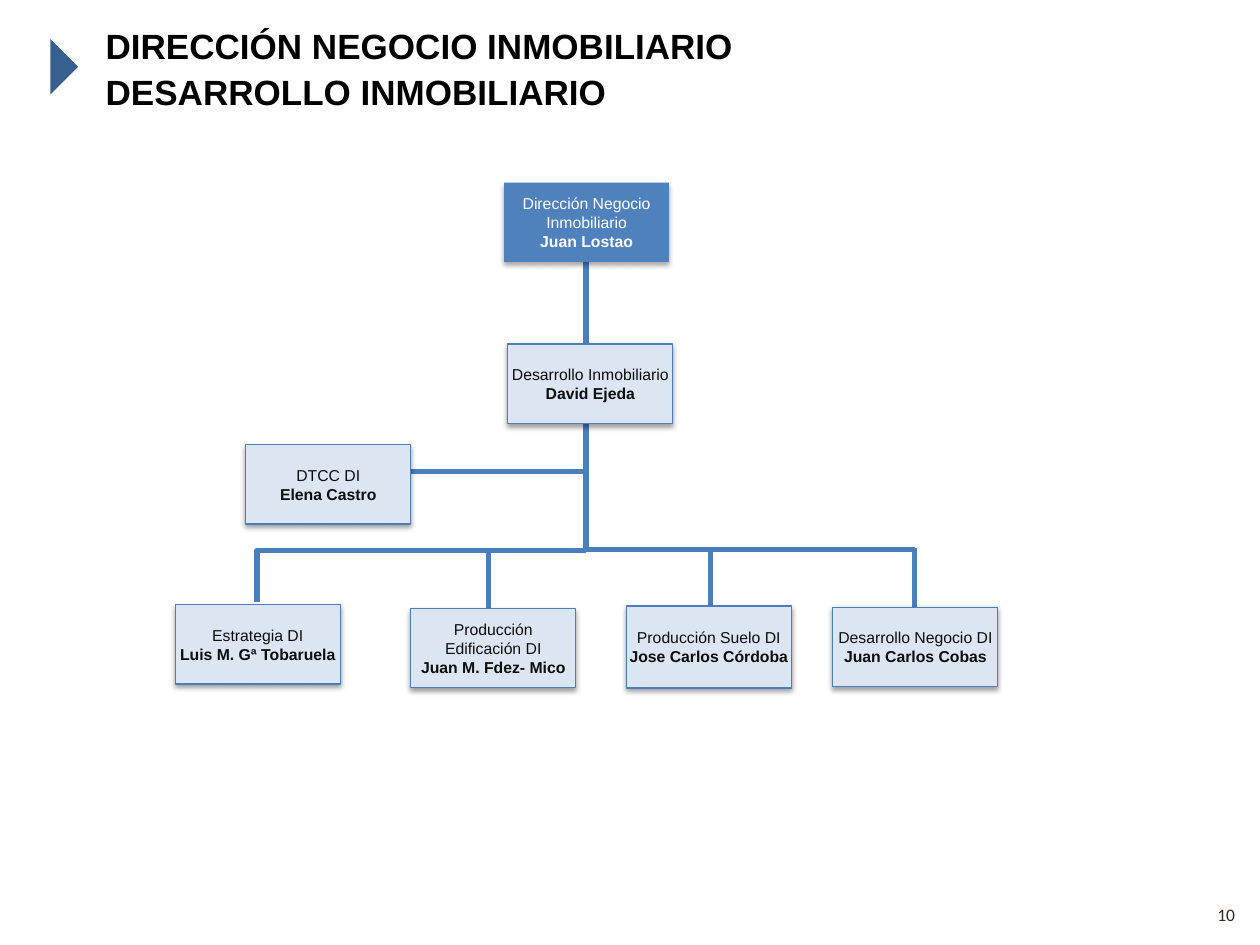
import pptx
import pptx.util
import pptx.dml.color
import pptx.enum.shapes
import pptx.enum.text
import pptx.oxml
import pptx.oxml.ns

RGBColor = pptx.dml.color.RGBColor
BLACK = RGBColor(0x00, 0x00, 0x00)
WHITE = RGBColor(0xFF, 0xFF, 0xFF)
INK = RGBColor(0x0D, 0x0D, 0x0D)
BROWN = RGBColor(0x35, 0x26, 0x1A)
NAVY = RGBColor(0x37, 0x60, 0x91)
BLUE = RGBColor(0x4F, 0x81, 0xBD)
LINE_BLUE = RGBColor(0x4B, 0x7E, 0xBC)
PALE_BLUE = RGBColor(0xDC, 0xE6, 0xF2)

Shape = pptx.enum.shapes.MSO_SHAPE
Connector = pptx.enum.shapes.MSO_CONNECTOR
Align = pptx.enum.text.PP_ALIGN

deck = pptx.Presentation()
deck.slide_width = pptx.util.Inches(10)
deck.slide_height = pptx.util.Inches(7.5)
COLUMN = deck.slide_width / 100
ROW = deck.slide_height / 75
slide = deck.slides.add_slide(deck.slide_layouts[6])


def write_text(box, text, size=9, font="Arial", color=INK, bold_from=0,
               align=Align.CENTER, spacing=None, inset=0.1):
    frame = box.text_frame
    frame.word_wrap = True
    frame.vertical_anchor = pptx.enum.text.MSO_ANCHOR.MIDDLE
    frame.margin_left = frame.margin_right = pptx.util.Inches(inset)
    for index, line in enumerate(text.split("\n")):
        para = frame.add_paragraph() if index else frame.paragraphs[0]
        para.text = line
        para.alignment = align
        para.line_spacing = spacing
        for span in para.runs:
            span.font.size = pptx.util.Pt(size)
            span.font.name = font
            span.font.color.rgb = color
            span.font.bold = index >= bold_from


def draw_link(kind, left, top, right, bottom):
    link = slide.shapes.add_connector(
        kind, round(left * COLUMN), round(top * ROW), round(right * COLUMN), round(bottom * ROW))
    link.line.color.rgb = LINE_BLUE
    link.line.width = pptx.util.Pt(3)
    properties = link._element.spPr
    properties.append(pptx.oxml.parse_xml(
        f"<a:effectLst {pptx.oxml.ns.nsdecls('a')}/>"))
    if kind == Connector.ELBOW:
        geometry = properties.find(pptx.oxml.ns.qn("a:prstGeom"))
        guides = geometry.find(pptx.oxml.ns.qn("a:avLst"))
        guides.append(pptx.oxml.parse_xml(
            f"<a:gd {pptx.oxml.ns.nsdecls('a')} name='adj1' fmla='val 100000'/>"))


marker = slide.shapes.add_shape(
    Shape.ISOSCELES_TRIANGLE, round(2.9 * COLUMN), round(4.2 * ROW),
    round(4.4 * COLUMN), round(2.2 * ROW))
marker.rotation = 90
marker.shadow.inherit = False
marker.fill.solid()
marker.fill.fore_color.rgb = NAVY
marker.line.fill.background()

TRUNK = 46.5
BRANCH = 43.6
draw_link(Connector.ELBOW, 72.6, BRANCH, TRUNK, 16)
draw_link(Connector.ELBOW, TRUNK, BRANCH + 0.1, 20.4, 47.8)
draw_link(Connector.STRAIGHT, 32.4, 37.4, TRUNK, 37.4)
draw_link(Connector.STRAIGHT, TRUNK, 31.6, TRUNK, 37.7)
for center, bottom in ((38.8, 49.7), (56.4, 51.6), (72.6, 51.6)):
    draw_link(Connector.STRAIGHT, center, 43.5, center, bottom)

title = slide.shapes.add_textbox(
    round(7.4 * COLUMN), round(1.2 * ROW), round(89.5 * COLUMN), round(8.1 * ROW))
write_text(title, "DIRECCIÓN NEGOCIO INMOBILIARIO\vDESARROLLO INMOBILIARIO",
           size=20, color=BLACK, align=Align.LEFT, spacing=1.1)

positions = (
    (40, 14.5, 6.3, "Dirección Negocio Inmobiliario\nJuan Lostao"),
    (40.3, 27.3, 6.3, "Desarrollo Inmobiliario\nDavid Ejeda"),
    (19.5, 35.3, 6.3, "DTCC DI\nElena Castro"),
    (13.9, 48, 6.3, "Estrategia DI\nLuis M. Gª Tobaruela"),
    (32.6, 48.3, 6.3, "Producción\nEdificación DI\nJuan M. Fdez- Mico"),
    (49.7, 48.1, 6.5, "Producción Suelo DI\nJose Carlos Córdoba"),
    (66.1, 48.2, 6.3, "Desarrollo Negocio DI\nJuan Carlos Cobas"),
)
for index, (left, top, height, text) in enumerate(positions):
    is_head = index == 0
    box = slide.shapes.add_shape(
        Shape.RECTANGLE, round(left * COLUMN), round(top * ROW),
        round(13.1 * COLUMN), round(height * ROW))
    box.fill.solid()
    box.fill.fore_color.rgb = BLUE if is_head else PALE_BLUE
    if is_head:
        box.line.fill.background()
    else:
        box.line.color.rgb = LINE_BLUE
        box.line.width = pptx.util.Pt(0.75)
    opacity, distance = (35000, 1.8) if is_head else (38000, 1.6)
    box._element.spPr.append(pptx.oxml.parse_xml(
        f"<a:effectLst {pptx.oxml.ns.nsdecls('a')}>"
        f"<a:outerShdw blurRad='{pptx.util.Pt(3.1)}' dist='{pptx.util.Pt(distance)}' "
        "dir='5400000' rotWithShape='0'><a:srgbClr val='000000'>"
        f"<a:alpha val='{opacity}'/></a:srgbClr></a:outerShdw></a:effectLst>"))
    write_text(box, text, color=WHITE if is_head else INK,
               bold_from=text.count("\n"), inset=0.04 if is_head else 0)

number = slide.shapes.add_textbox(
    round(75.7 * COLUMN), round(70.6 * ROW), round(23.3 * COLUMN), round(4 * ROW))
write_text(number, "10", size=10, font="Calibri", color=BROWN, bold_from=1, align=Align.RIGHT)

deck.save("out.pptx")
